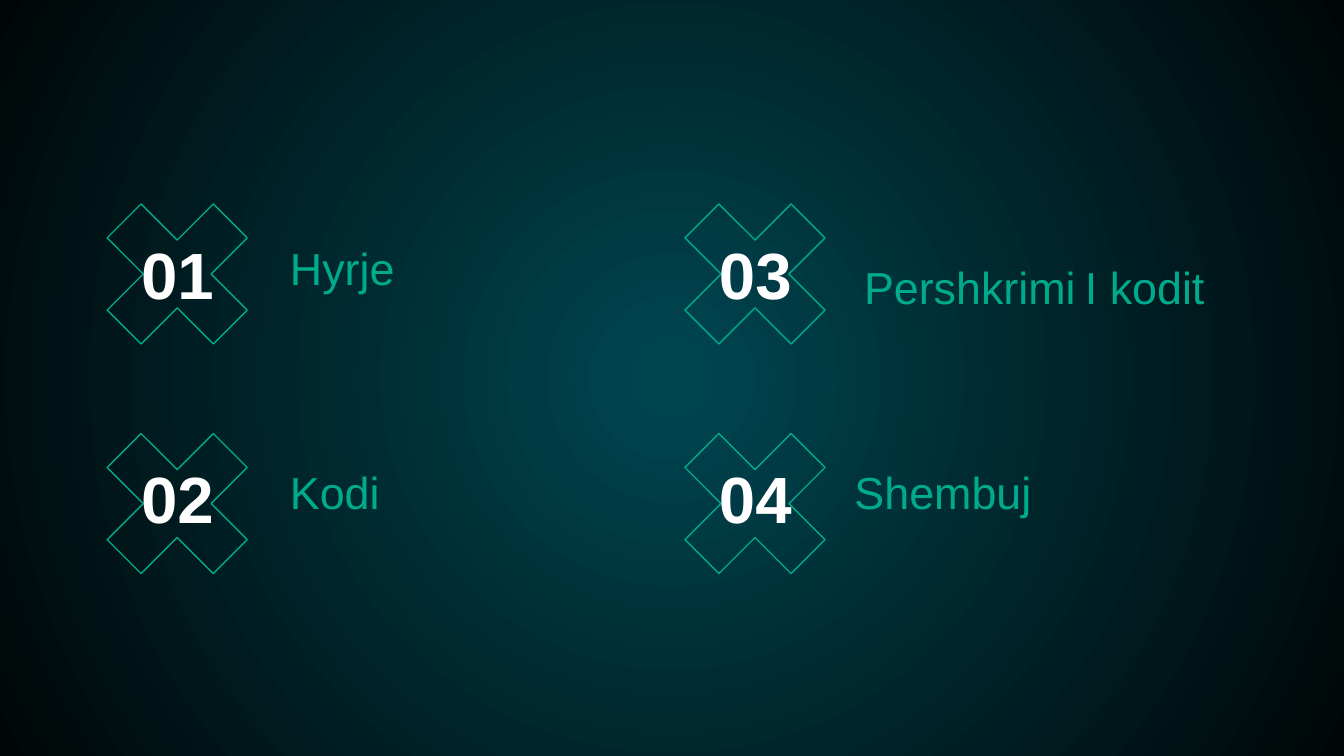
from dataclasses import dataclass

from lxml.etree import SubElement
from pptx import Presentation
from pptx.dml.color import RGBColor
from pptx.enum.shapes import MSO_SHAPE
from pptx.enum.text import MSO_ANCHOR, PP_ALIGN
from pptx.oxml.ns import qn
from pptx.util import Cm, Pt

COLORS = {"center": "004651", "edge": "000607", "green": "00AB8D", "white": "FFFFFF"}
FONT = "Arial"
CROSS_SIZE = 3.86
NUMBER_INDENT = 0.74
LABEL_WIDTH = 7.16


@dataclass
class Topic:
    """One agenda entry; lengths in cm, label runs as (text, points)."""
    number: str
    cross_x: float
    cross_y: float
    number_y: float
    label: list[tuple[str, int]]
    label_x: float
    label_y: float
    label_h: float = 1.04


TOPICS = [
    Topic("01", 1.42, 3.25, 4.55, [("Hyrje", 24)], 5.23, 4.78),
    Topic("02", 1.42, 7.59, 8.79, [("Kodi", 24)], 5.23, 9.02),
    Topic("03", 12.34, 3.25, 4.55,
          [("Pershkrimi", 24), (" ", 18), ("I kodit", 24)], 16.08, 4.01, 2.16),
    Topic("04", 12.34, 7.59, 8.79, [("Shembuj", 24)], 15.9, 9.02),
]


def rgb(name: str) -> RGBColor:
    return RGBColor.from_string(COLORS[name])


def draw_background(s) -> None:
    fill = s.background.fill
    fill.gradient()
    for stop, name in zip(fill.gradient_stops, ("center", "edge")):
        stop.color.rgb = rgb(name)
    # Turn the linear gradient into a circular one
    grad = s.background._cSld.find(".//" + qn("a:gradFill"))
    grad.remove(grad.find(qn("a:lin")))
    circle = SubElement(grad, qn("a:path"), path="circle")
    SubElement(circle, qn("a:fillToRect"), l="50000", t="50000", r="50000", b="50000")


def draw_cross(s, x: float, y: float) -> None:
    sp = s.shapes.add_shape(MSO_SHAPE.MATH_MULTIPLY, Cm(x), Cm(y),
                            Cm(CROSS_SIZE), Cm(CROSS_SIZE))
    sp.adjustments[0] = 0.235
    sp.shadow.inherit = False
    sp.fill.background()
    sp.line.color.rgb = rgb("green")
    sp.line.width = Pt(0.75)


def draw_text(s, x: float, y: float, w: float, h: float, runs: list[tuple[str, int]],
              color: str, anchor: MSO_ANCHOR, align: PP_ALIGN, bold: bool = False) -> None:
    tf = s.shapes.add_textbox(Cm(x), Cm(y), Cm(w), Cm(h)).text_frame
    tf.word_wrap = True
    tf.vertical_anchor = anchor
    tf.margin_left = tf.margin_right = tf.margin_top = tf.margin_bottom = Cm(0.25)
    p = tf.paragraphs[0]
    p.alignment = align
    for text, size in runs:
        r = p.add_run()
        r.text = text
        r.font.name = FONT
        r.font.size = Pt(size)
        r.font.bold = bold
        r.font.color.rgb = rgb(color)


def main() -> None:
    prs = Presentation()
    prs.slide_width, prs.slide_height = Cm(25.4), Cm(14.29)
    s = prs.slides.add_slide(prs.slide_layouts[6])
    draw_background(s)

    # Outlined crosses lie behind all text
    for topic in TOPICS:
        draw_cross(s, topic.cross_x, topic.cross_y)

    # Numbers and topic names
    for topic in TOPICS:
        draw_text(s, topic.cross_x + NUMBER_INDENT, topic.number_y, 2.39, 1.24,
                  [(topic.number, 35)], "white", MSO_ANCHOR.MIDDLE, PP_ALIGN.CENTER, True)
        draw_text(s, topic.label_x, topic.label_y, LABEL_WIDTH, topic.label_h,
                  topic.label, "green", MSO_ANCHOR.BOTTOM, PP_ALIGN.LEFT)

    prs.save("out.pptx")


if __name__ == "__main__":
    main()
